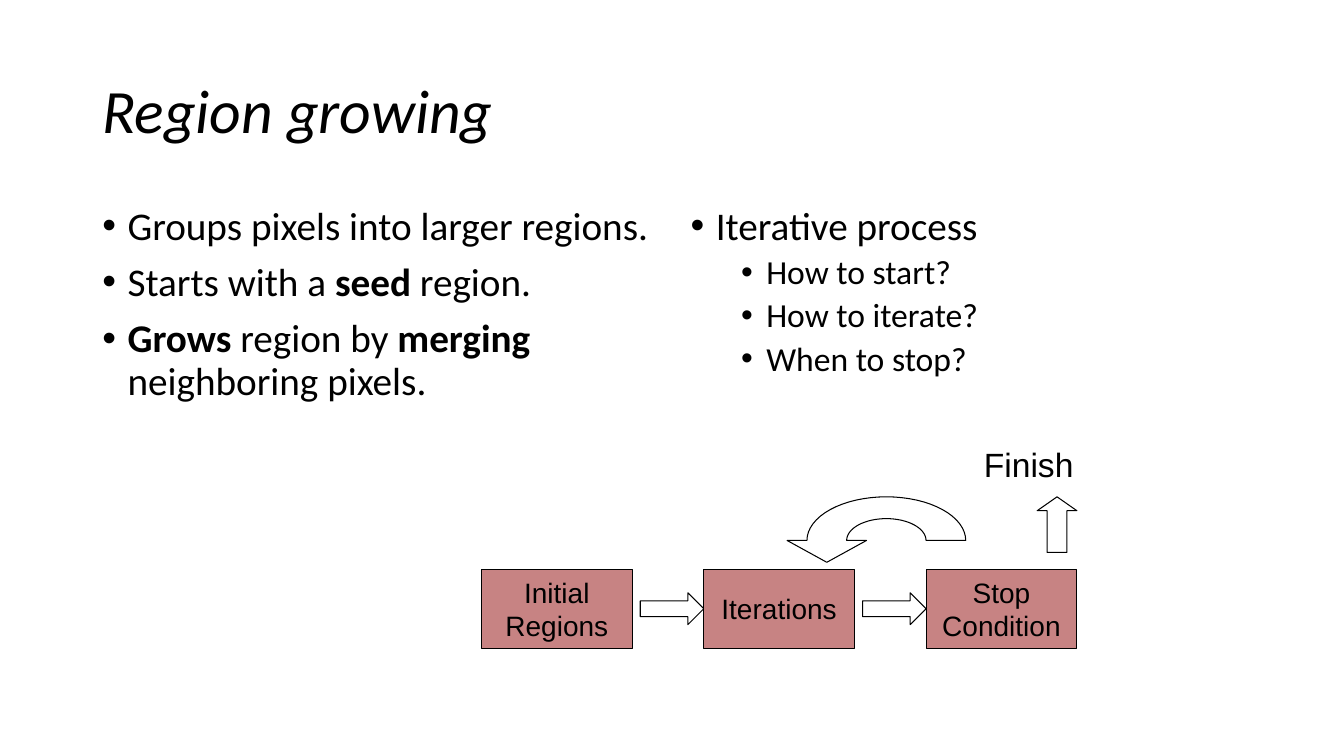
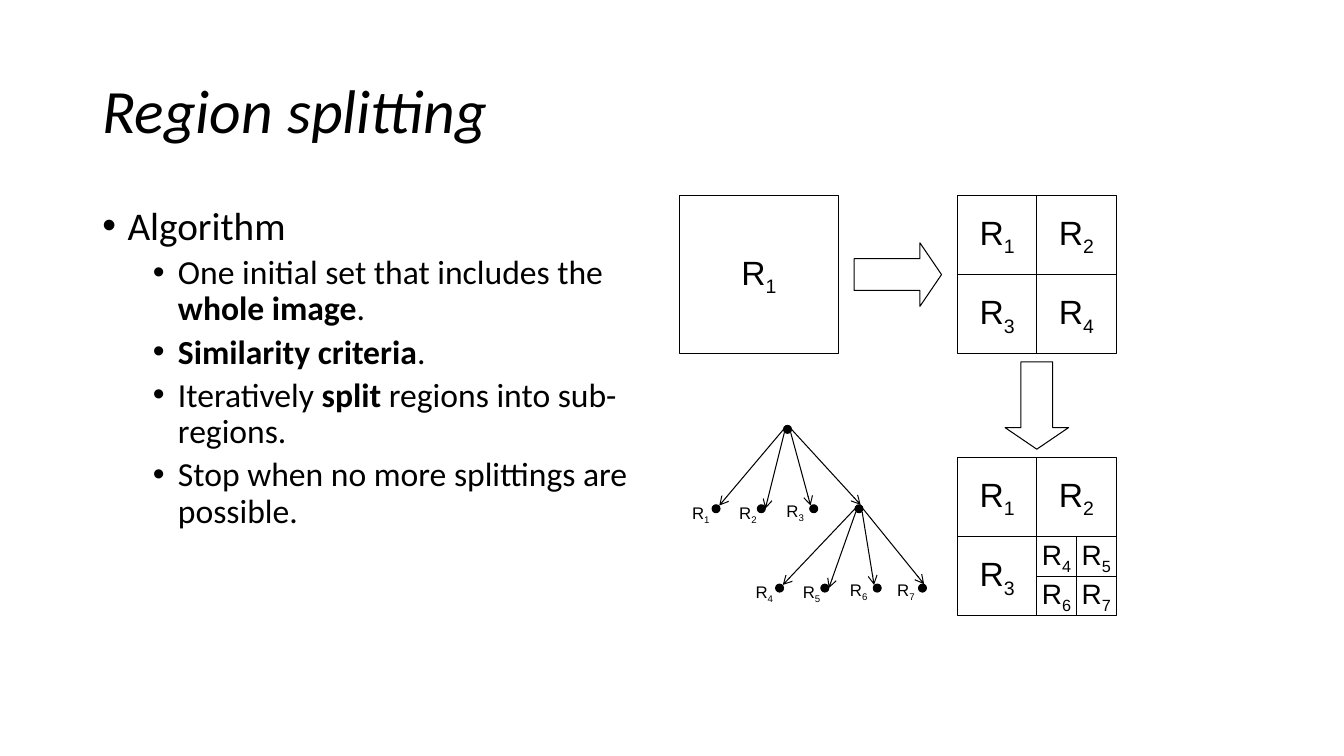
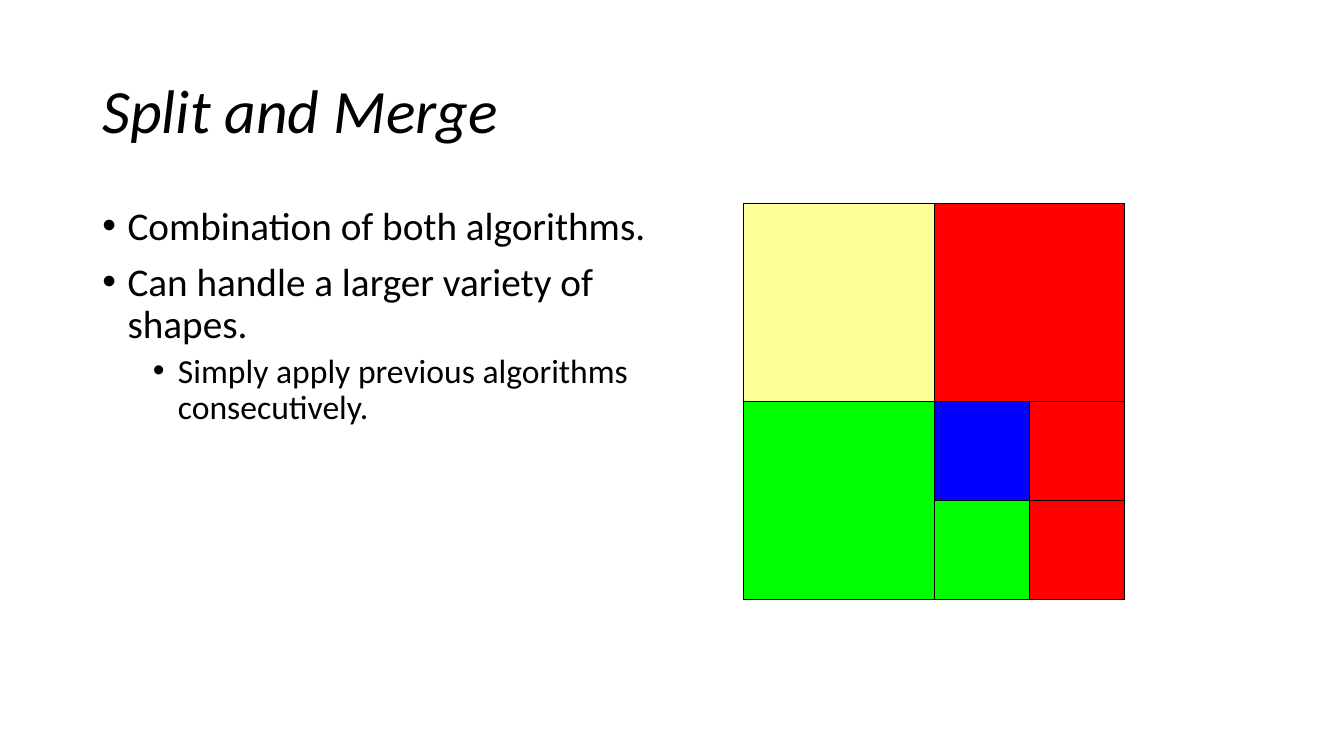
from dataclasses import dataclass
from math import cos, pi, sin

from lxml.etree import SubElement
from pptx import Presentation
from pptx.dml.color import RGBColor
from pptx.enum.shapes import MSO_CONNECTOR, MSO_SHAPE
from pptx.enum.text import MSO_ANCHOR, PP_ALIGN
from pptx.oxml.ns import qn
from pptx.util import Cm, Inches, Pt

BLACK = RGBColor(0x00, 0x00, 0x00)
ROSE = RGBColor(0xC7, 0x83, 0x83)
YELLOW = RGBColor(0xFF, 0xFF, 0x99)
RED = RGBColor(0xFF, 0x00, 0x00)
GREEN = RGBColor(0x00, 0xFF, 0x00)
BLUE = RGBColor(0x00, 0x00, 0xFF)

TEXT_FONT, DIAGRAM_FONT = "Calibri", "Arial"
LINE_WIDTH = Pt(0.75)
LINE_SPACING = 0.9
# Per outline level: size, space before, left indent
LEVELS = [(28, 10, 0.25), (24, 5, 0.75)]


@dataclass
class Box:
    """A region measured in grid modules of one centimetre."""
    left: float
    top: float
    width: float
    height: float

    def area(self, col, row, width, height):
        return Box(self.left + col, self.top + row, width, height)

    def quadrant(self, index):
        row, col = divmod(index, 2)
        width, height = self.width / 2, self.height / 2
        return self.area(col * width, row * height, width, height)

    def emu(self):
        return [Cm(n) for n in (self.left, self.top, self.width, self.height)]


TITLE = Box(2.33, 1.01, 29.21, 3.68)
LEFT_COLUMN = Box(2.33, 5.07, 14.4, 12.09)
RIGHT_COLUMN = LEFT_COLUMN.area(14.82, 0, 14.4, 12.09)


# ---- Text ----
def add_run(paragraph, text, size, font, bold=False, italic=False):
    run = paragraph.add_run()
    run.text = text
    run.font.size, run.font.name = Pt(size), font
    run.font.bold, run.font.italic = bold, italic
    run.font.color.rgb = BLACK
    return run


def add_text_frame(slide, box, anchor=MSO_ANCHOR.TOP):
    frame = slide.shapes.add_textbox(*box.emu()).text_frame
    frame.word_wrap = True
    frame.vertical_anchor = anchor
    return frame


def add_title(slide, text):
    paragraph = add_text_frame(slide, TITLE, MSO_ANCHOR.MIDDLE).paragraphs[0]
    paragraph.line_spacing = LINE_SPACING
    add_run(paragraph, text, 44, TEXT_FONT, italic=True)


def add_outline(slide, box, items):
    """Bulleted (level, text) items; ** toggles bold."""
    frame = add_text_frame(slide, box)
    for index, (level, text) in enumerate(items):
        size, before, indent = LEVELS[level]
        paragraph = frame.add_paragraph() if index else frame.paragraphs[0]
        properties = paragraph._p.get_or_add_pPr()
        properties.set("marL", str(Inches(indent)))
        properties.set("indent", str(Inches(-0.25)))
        SubElement(properties, qn("a:buFont")).set("typeface", "Arial")
        SubElement(properties, qn("a:buChar")).set("char", "•")
        paragraph.level = level
        paragraph.line_spacing = LINE_SPACING
        paragraph.space_before = Pt(before if index else 0)
        for turn, piece in enumerate(text.split("**")):
            if piece:
                add_run(paragraph, piece, size, TEXT_FONT, bold=turn % 2 == 1)


def write_centered(frame, lines, size):
    frame.word_wrap = False
    frame.vertical_anchor = MSO_ANCHOR.MIDDLE
    for index, line in enumerate(lines):
        paragraph = frame.add_paragraph() if index else frame.paragraphs[0]
        paragraph.alignment = PP_ALIGN.CENTER
        add_run(paragraph, line, size, DIAGRAM_FONT)


def write_region(frame, number, size):
    """R with a subscript number."""
    write_centered(frame, ["R"], size)
    subscript = add_run(frame.paragraphs[0], str(number), size, DIAGRAM_FONT)
    subscript.font._element.set("baseline", "-25000")


# ---- Shapes ----
def style(shape, fill=None):
    shape.shadow.inherit = False
    if fill is None:
        shape.fill.background()
    else:
        shape.fill.solid()
        shape.fill.fore_color.rgb = fill
    shape.line.color.rgb = BLACK
    shape.line.width = LINE_WIDTH
    return shape


def add_shape(slide, kind, box, fill=None, head=None):
    shape = style(slide.shapes.add_shape(kind, *box.emu()), fill)
    if head is not None:
        shape.adjustments[1] = head
    return shape


def add_return_arrow(slide, box):
    """Half ring running back to the left, with its head pointing down."""
    middle, base = box.left + 2.5, box.top + 1.1
    steps = 32

    def arc(radius_x, radius_y, start, end):
        angles = [start + (end - start) * i / steps for i in range(steps + 1)]
        return [(radius_x * cos(a), -radius_y * sin(a)) for a in angles]

    outline = (arc(1, 0.55, pi, 0) + arc(2, 1.1, 0, pi)
               + [(-2.5, 0), (-1.5, 0.55), (-0.5, 0)])
    points = [(Cm(middle + x), Cm(base + y)) for x, y in outline]
    builder = slide.shapes.build_freeform(*points[0])
    builder.add_line_segments(points[1:], close=True)
    style(builder.convert_to_shape())


def add_branch(slide, start, end):
    branch = slide.shapes.add_connector(
        MSO_CONNECTOR.STRAIGHT, *[Cm(n) for n in (*start, *end)])
    branch.line.color.rgb = BLACK
    branch.line.width = LINE_WIDTH
    SubElement(branch.line._get_or_add_ln(), qn("a:tailEnd")).set("type", "arrow")
    SubElement(branch._element.spPr, qn("a:effectLst"))


# ---- Regions ----
def add_process(slide, box):
    stages = [["Initial", "Regions"], ["Iterations"], ["Stop", "Condition"]]
    pitch, top = 5.6, 3.29
    for index, lines in enumerate(stages):
        stage = box.area(index * pitch, top, 3.8, 2)
        shape = add_shape(slide, MSO_SHAPE.RECTANGLE, stage, ROSE)
        write_centered(shape.text_frame, lines, 20)
        if index < len(stages) - 1:
            add_shape(slide, MSO_SHAPE.RIGHT_ARROW, stage.area(4, 0.6, 1.6, 0.8))
    add_return_arrow(slide, box.area(7.7, 1.47, 4.5, 1.65))
    add_shape(slide, MSO_SHAPE.UP_ARROW, box.area(14, 1.47, 1, 1.4), head=0.35)
    finish = add_text_frame(slide, box.area(12.4, 0, 2.77, 1.27))
    write_centered(finish, ["Finish"], 24)


def add_quadrants(slide, box, content):
    """A list splits the box in four; a colour fills it, a number labels it."""
    if isinstance(content, list):
        for index, quarter in enumerate(content):
            add_quadrants(slide, box.quadrant(index), quarter)
    elif isinstance(content, RGBColor):
        add_shape(slide, MSO_SHAPE.RECTANGLE, box, content)
    else:
        region = add_shape(slide, MSO_SHAPE.RECTANGLE, box)
        write_region(region.text_frame, content, 24 if box.width > 1 else 20)


def add_node(slide, x, y):
    add_shape(slide, MSO_SHAPE.OVAL, Box(x - 0.1, y - 0.1, 0.2, 0.2), BLACK)


def add_family(slide, parent, first_child_x, numbers):
    """Four children two modules below the parent, labelled in even steps."""
    parent_x, parent_y = parent
    child_y = parent_y + 2
    gaps = [0, 1.14, 2.46, 3.6]
    starts = [(-0.1, 0), (-0.08, 0.08), (0.08, 0.08), (0.1, 0)]
    ends = [(0.08, -0.08), (0.1, 0), (-0.08, -0.08), (0.04, -0.1)]
    for gap, start, end in zip(gaps, starts, ends):
        child_x = first_child_x + gap
        add_node(slide, child_x, child_y)
        add_branch(slide, (parent_x + start[0], parent_y + start[1]),
                   (child_x + end[0], child_y + end[1]))
    for index, number in enumerate(numbers):
        rise = 0.25 if index < 2 else 0.3
        label = Box(first_child_x - 0.87 + 1.19 * index, child_y - rise, 0.97, 0.76)
        write_region(add_text_frame(slide, label), number, 12)
    return first_child_x + gaps[-1], child_y


def add_tree(slide, box):
    root = box.left + 2.72, box.top + 0.1
    first_child_x = box.left + 0.92
    add_node(slide, *root)
    branching = add_family(slide, root, first_child_x, [1, 2, 3])
    add_family(slide, branching, first_child_x + 1.6, [4, 5, 6, 7])


def add_splitting(slide, box):
    add_quadrants(slide, box.area(0, 0, 4, 4), 1)
    add_shape(slide, MSO_SHAPE.RIGHT_ARROW, box.area(4.4, 1.2, 2.2, 1.6), head=0.34)
    add_quadrants(slide, box.area(7, 0, 4, 4), [1, 2, 3, 4])
    add_shape(slide, MSO_SHAPE.DOWN_ARROW, box.area(8.2, 4.2, 1.6, 2.2), head=0.34)
    add_quadrants(slide, box.area(7, 6.6, 4, 4), [1, 2, 3, [4, 5, 6, 7]])
    add_tree(slide, box.area(0, 5.8, 6.3, 4.5))


# ---- Slides ----
def new_slide(deck, title, outline):
    slide = deck.slides.add_slide(deck.slide_layouts[6])
    add_title(slide, title)
    add_outline(slide, LEFT_COLUMN, outline)
    return slide


def main():
    deck = Presentation()
    deck.slide_width, deck.slide_height = Inches(13.33), Inches(7.5)

    growing = new_slide(deck, "Region growing", [
        (0, "Groups pixels into larger regions."),
        (0, "Starts with a **seed **region."),
        (0, "**Grows **region by **merging** neighboring pixels."),
    ])
    add_outline(growing, RIGHT_COLUMN, [
        (0, "Iterative process"),
        (1, "How to start?"),
        (1, "How to iterate?"),
        (1, "When to stop?"),
    ])
    add_process(growing, Box(12.13, 11.05, 15, 5.29))

    splitting = new_slide(deck, "Region splitting", [
        (0, "Algorithm"),
        (1, "One initial set that includes the **whole image**."),
        (1, "**Similarity criteria**."),
        (1, "Iteratively **split** regions into sub-regions."),
        (1, "Stop when no more splittings are possible."),
    ])
    add_splitting(splitting, Box(17.12, 4.92, 11, 10.6))

    merging = new_slide(deck, "Split and Merge", [
        (0, "Combination of both algorithms."),
        (0, "Can handle a larger variety of shapes."),
        (1, "Simply apply previous algorithms consecutively."),
    ])
    add_quadrants(merging, Box(18.74, 5.12, 9.6, 10),
                  [YELLOW, RED, GREEN, [BLUE, RED, GREEN, RED]])

    deck.save("out.pptx")


if __name__ == "__main__":
    main()
